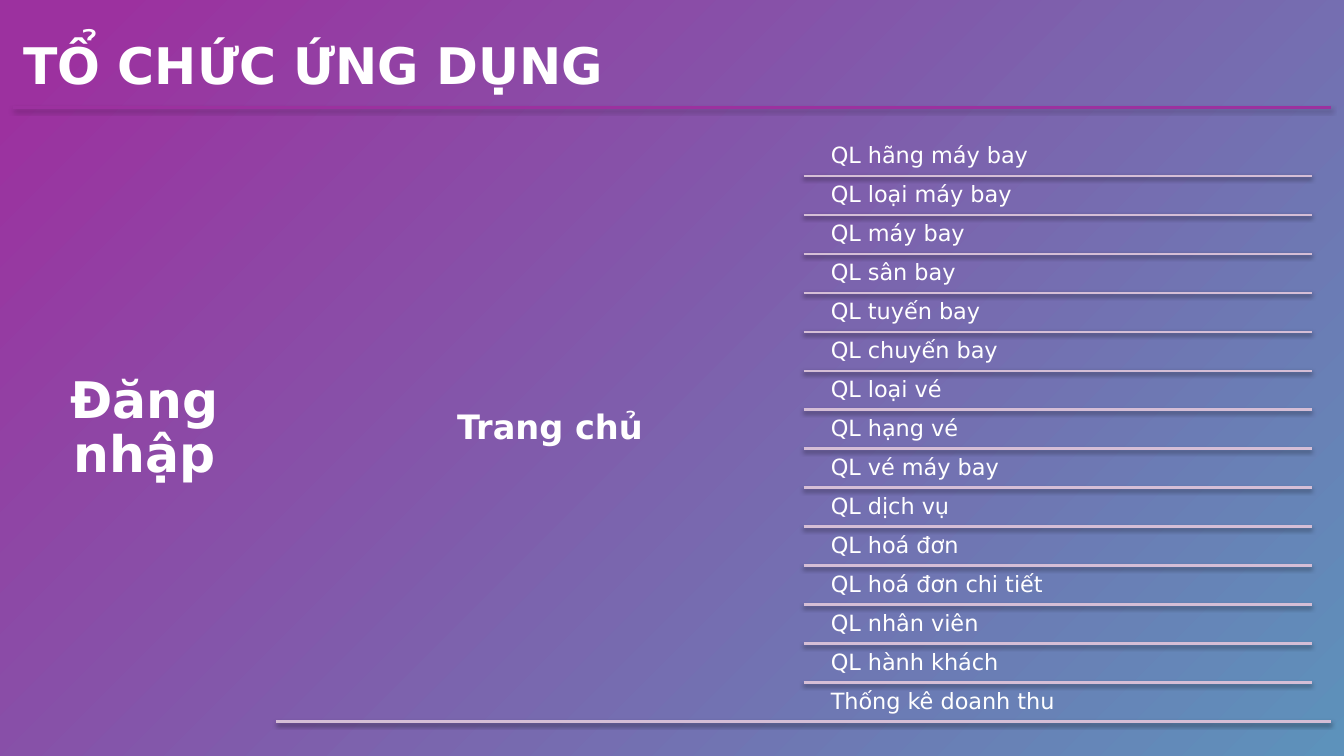
from lxml import etree
from pptx import Presentation
from pptx.dml.color import RGBColor
from pptx.enum.shapes import MSO_CONNECTOR as Connector
from pptx.enum.text import MSO_ANCHOR as Anchor, MSO_AUTO_SIZE as AutoSize, PP_ALIGN as Align
from pptx.util import Inches, Pt

FONT = "DejaVu Sans"
WHITE = RGBColor(0xFF, 0xFF, 0xFF)
PURPLE = RGBColor(0x9C, 0x31, 0x9F)
BLUE = RGBColor(0x5D, 0x92, 0xBB)
PINK = RGBColor(0xD5, 0xBE, 0xD6)

LIST_TOP, LIST_BOTTOM = 1.36, 7.16
MENU_ITEMS = [
    "QL hãng máy bay", "QL loại máy bay", "QL máy bay", "QL sân bay",
    "QL tuyến bay", "QL chuyến bay", "QL loại vé", "QL hạng vé",
    "QL vé máy bay", "QL dịch vụ", "QL hoá đơn", "QL hoá đơn chi tiết",
    "QL nhân viên", "QL hành khách", "Thống kê doanh thu",
]

SHADOW = """
<a:effectLst xmlns:a="http://schemas.openxmlformats.org/drawingml/2006/main">
  <a:outerShdw blurRad="39370" dist="20320" dir="5400000" rotWithShape="0">
    <a:srgbClr val="000000"><a:alpha val="38000"/></a:srgbClr>
  </a:outerShdw>
</a:effectLst>"""


def paint_background(page):
    fill = page.background.fill
    fill.gradient()
    fill.gradient_angle = 315
    for stop, color, position in zip(fill.gradient_stops, (PURPLE, BLUE), (0.05, 1)):
        stop.color.rgb = color
        stop.position = position


def write_text(frame, text, size, bold=False, align=Align.LEFT, spacing=1.0, after=0):
    para = frame.paragraphs[0]
    para.alignment = align
    para.line_spacing = spacing
    para.space_after = Pt(after)
    span = para.add_run()
    span.text = text
    span.font.name = FONT
    span.font.size = Pt(size)
    span.font.bold = bold
    span.font.color.rgb = WHITE


def add_title(page, text):
    title = page.shapes.title
    title.left, title.top = Inches(0.13), Inches(0.29)
    title.width, title.height = Inches(6), Inches(0.71)
    frame = title.text_frame
    frame.word_wrap = False
    frame.auto_size = AutoSize.SHAPE_TO_FIT_TEXT
    frame.vertical_anchor = Anchor.TOP
    write_text(frame, text, 36, bold=True)


def add_label(page, text, left, top, width, height, size, inset,
              anchor=Anchor.MIDDLE, bold=True, align=Align.CENTER):
    box = page.shapes.add_textbox(Inches(left), Inches(top), Inches(width), Inches(height))
    frame = box.text_frame
    frame.word_wrap = True
    frame.vertical_anchor = anchor
    frame.margin_left = frame.margin_right = Inches(inset)
    frame.margin_top = frame.margin_bottom = Inches(inset)
    write_text(frame, text, size, bold, align, spacing=0.9, after=0.35 * size)


def add_rule(page, left, right, top, color=PINK):
    """Draw a horizontal line with a soft shadow below it."""
    rule = page.shapes.add_connector(
        Connector.STRAIGHT, Inches(left), Inches(top), Inches(right), Inches(top))
    rule.line.color.rgb = color
    rule.line.width = Pt(2)
    rule._element.spPr.append(etree.fromstring(SHADOW))


def add_menu(page):
    pitch = (LIST_BOTTOM - LIST_TOP) / len(MENU_ITEMS)
    for row, item in enumerate(MENU_ITEMS):
        top = LIST_TOP + row * pitch
        if row:
            add_rule(page, 7.97, 13.01, top)
        add_label(page, item, 8.17, top, 5.03, pitch, 16, 0.07,
                  anchor=Anchor.TOP, bold=False, align=Align.LEFT)
    add_rule(page, 2.74, 13.2, LIST_BOTTOM)


def main():
    deck = Presentation()
    deck.slide_width, deck.slide_height = Inches(13.33), Inches(7.5)
    page = deck.slides.add_slide(deck.slide_layouts[5])
    paint_background(page)
    add_title(page, "TỔ CHỨC ỨNG DỤNG")
    add_rule(page, 0.13, 13.2, 1.07, PURPLE)
    add_label(page, "Đăng nhập", 0.13, 1.07, 2.61, 6.38, 36, 0.15)
    add_label(page, "Trang chủ", 2.94, LIST_TOP, 5.03, 5.79, 24, 0.1)
    add_menu(page)
    deck.save("out.pptx")


if __name__ == "__main__":
    main()
